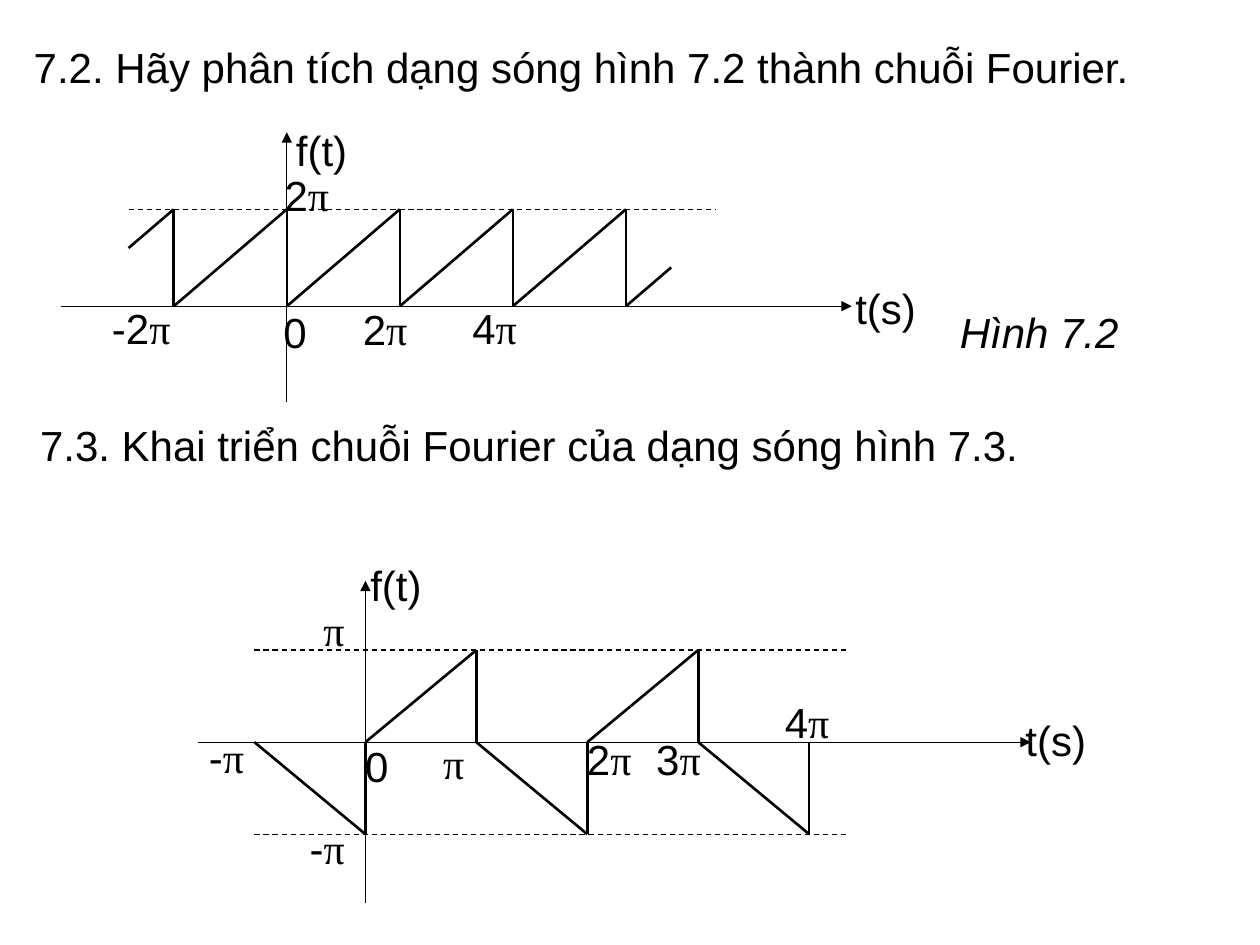
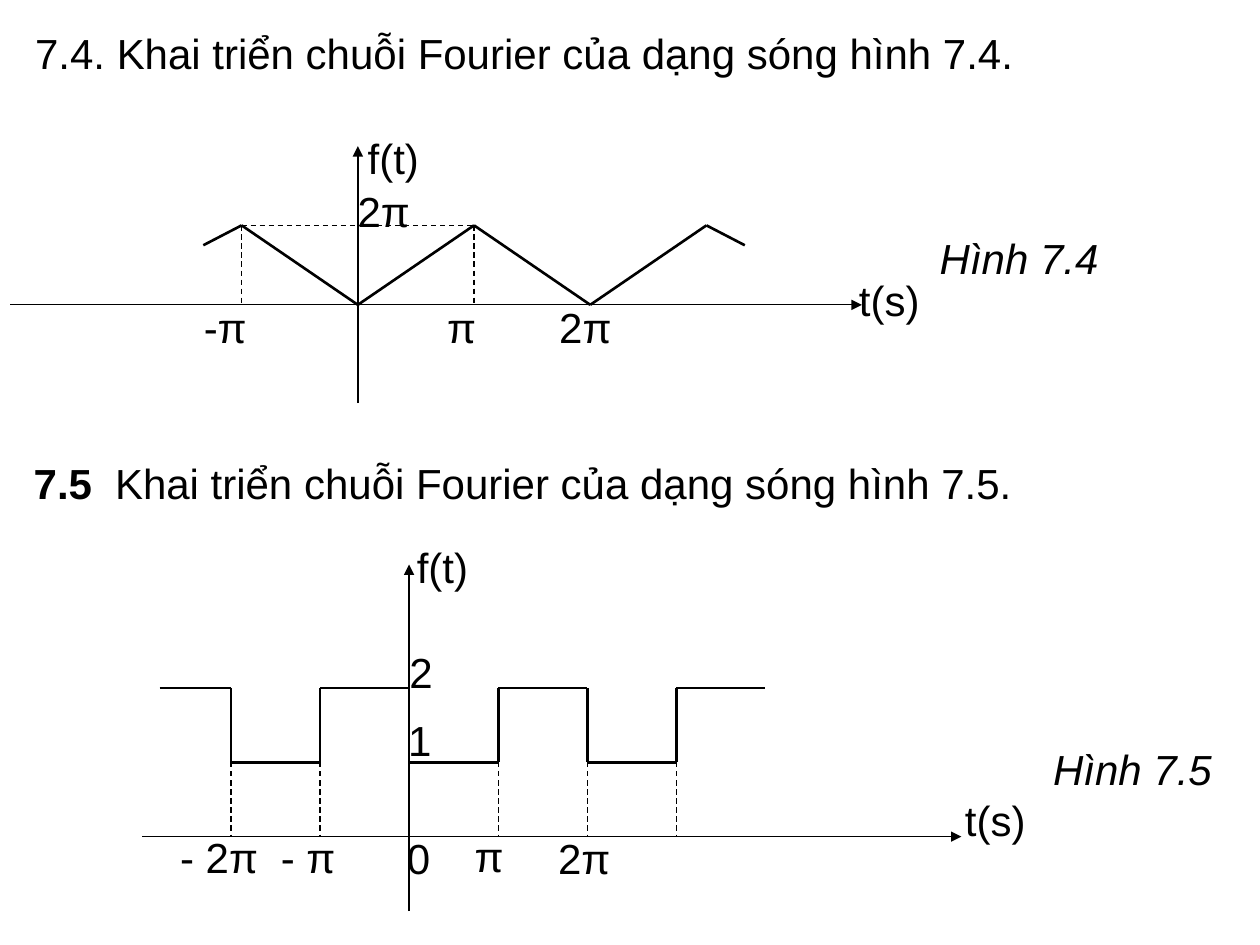
import pptx
import pptx.dml.color
import pptx.enum.dml
import pptx.enum.shapes
import pptx.enum.text
import pptx.oxml.ns
import pptx.util
import lxml.etree

COLORS = {"ink": "000000"}
TEXT_FONT = "Arial"
SYMBOL_FONT = "Times New Roman"
TEXT_SIZE = 24
AXIS_WIDTH = 0.75
WAVE_WIDTH = 1.5
ink = pptx.dml.color.RGBColor.from_string(COLORS["ink"])


def add_line(slide, start, end, width, dashed=False, arrow=False):
    line = slide.shapes.add_connector(
        pptx.enum.shapes.MSO_CONNECTOR.STRAIGHT,
        *[pptx.util.Pt(round(value, 2)) for value in (*start, *end)])
    line.line.color.rgb = ink
    line.line.width = pptx.util.Pt(width)
    if dashed:
        line.line.dash_style = pptx.enum.dml.MSO_LINE.DASH
    if arrow:
        tail = lxml.etree.SubElement(line.line._get_or_add_ln(), pptx.oxml.ns.qn("a:tailEnd"))
        tail.set("type", "triangle")
    lxml.etree.SubElement(line._element.spPr, pptx.oxml.ns.qn("a:effectLst"))


def add_text(slide, text, box, pi_font=TEXT_FONT, italic=False, wrap=True, tab=None):
    shape = slide.shapes.add_textbox(*[pptx.util.Pt(value) for value in box])
    shape.text_frame.word_wrap = wrap
    paragraph = shape.text_frame.paragraphs[0]
    paragraph.alignment = pptx.enum.text.PP_ALIGN.JUSTIFY
    if tab:
        tabs = lxml.etree.SubElement(paragraph._p.get_or_add_pPr(), pptx.oxml.ns.qn("a:tabLst"))
        stop = lxml.etree.SubElement(tabs, pptx.oxml.ns.qn("a:tab"))
        stop.set("pos", str(pptx.util.Pt(tab)))
        stop.set("algn", "l")
    paragraph.font.size = pptx.util.Pt(TEXT_SIZE)
    paragraph.font.color.rgb = ink
    paragraph.font.italic = italic
    number, symbol, rest = text.partition("π")
    if pi_font == TEXT_FONT or not symbol:
        pieces = [(text, TEXT_FONT)]
    else:
        pieces = [(number, TEXT_FONT), (symbol, pi_font)]
    pieces = [piece for piece in pieces if piece[0]]
    for content, font in pieces:
        run = paragraph.add_run()
        run.text = content
        if len(pieces) > 1:
            run.font.name = font
    if len(pieces) == 1:
        paragraph.font.name = pieces[0][1]
    return paragraph


square_wave = [(-2.8, 2)]
for step in range(-2, 4):
    levels = (2, 1) if step % 2 == 0 else (1, 2)
    square_wave += [(step, level) for level in levels]
square_wave.append((4, 2))

figures = [
    {
        "slide": 0, "origin": (163.9, 175), "unit": (64.6, 55.4),
        "t_axis": (34.6, 486.7), "f_axis": (229.7, 75.6),
        "wave": [(-1.4, 0.6), (-1, 1), (-1, 0), (0, 1), (0, 0), (1, 1), (1, 0),
                 (2, 1), (2, 0), (3, 1), (3, 0), (3.4, 0.4)],
        "guides": [((-1.4, 1), (3.8, 1))],
        "pi_font": SYMBOL_FONT, "label_height": 33.1,
        "labels": [("0", 154.8, 171.4, 51.8), ("-2π", 56.9, 169.2, 85.7),
                   ("2π", 200.2, 169.9, 87.8), ("4π", 262.8, 169.2, 77.8),
                   ("t(s)", 481.7, 157.7, 64.8), ("2π", 155.5, 93.6, 77.8),
                   ("f(t)", 162, 67.7, 77.8)],
    },
    {
        "slide": 0, "origin": (208.8, 424.1), "unit": (63.4, 52.6),
        "t_axis": (113, 589), "f_axis": (516.2, 331.9),
        "wave": [(-1, 0), (0, -1), (0, 0), (1, 1), (1, 0), (2, -1), (2, 0),
                 (3, 1), (3, 0), (4, -1), (4, 0)],
        "guides": [((-1, level), (4.34, level)) for level in (1, -1)],
        "pi_font": SYMBOL_FONT, "label_height": 39.6,
        "labels": [("0", 201.6, 419.8, 57.6), ("π", 246.2, 417.6, 57.6),
                   ("2π", 328.3, 415.4, 57.6), ("3π", 367.9, 415.4, 57.6),
                   ("4π", 441.4, 394.6, 57.6), ("-π", 112.3, 414.7, 57.6),
                   ("-π", 169.9, 466.6, 57.6), ("π", 177.8, 342, 57.6),
                   ("t(s)", 578.9, 404.6, 57.6), ("f(t)", 204.5, 316.1, 68.4)],
    },
    {
        "slide": 1, "origin": (204.5, 174.2), "unit": (66.4, 45.4),
        "t_axis": (5.8, 492.5), "f_axis": (230.4, 83.5),
        "wave": [(-1.33, 0.75), (-1, 1), (0, 0), (1, 1), (2, 0), (3, 1), (3.33, 0.75)],
        "guides": [((-1, 1), (-1, 0)), ((-1, 1), (1, 1)), ((1, 1), (1, 0))],
        "pi_font": TEXT_FONT, "label_height": 35.3,
        "labels": [("-π", 109.4, 168.5, 52.6), ("π", 248.4, 168.5, 52.6),
                   ("2π", 312.5, 168.5, 52.6), ("2π", 197.3, 102.2, 52.6),
                   ("t(s)", 483.8, 153.4, 52.6), ("f(t)", 203, 72, 82.8)],
    },
    {
        "slide": 1, "origin": (233.8, 478.1), "unit": (50.9, 42.5),
        "t_axis": (81.4, 549.4), "f_axis": (520.6, 322.6),
        "wave": square_wave,
        "guides": [((step, 1), (step, 0)) for step in (-2, -1, 1, 2, 3)],
        "pi_font": TEXT_FONT, "label_height": 42.5,
        "labels": [("0", 225.4, 472.3, 43.9), ("π", 264.2, 470.9, 43.9),
                   ("2π", 311.8, 472.3, 66.2), ("- π", 153.4, 471.6, 55.4),
                   ("- 2π", 95.8, 471.6, 66.2), ("1", 226.1, 404.6, 43.9),
                   ("2", 226.8, 365.8, 43.9), ("t(s)", 544.3, 450.7, 66.2),
                   ("f(t)", 231.1, 306, 66.2)],
    },
]

headings = [
    (0, "7.2. Hãy phân tích dạng sóng hình 7.2 thành chuỗi Fourier.", (12.2, 20.2, 653, 36)),
    (0, "7.3. Khai triển chuỗi Fourier của dạng sóng hình 7.3.", (15.8, 236.2, 655.9, 36)),
    (1, "7.4. Khai triển chuỗi Fourier của dạng sóng hình 7.4.", (13, 12.2, 604.8, 36)),
]
captions = [
    (0, "Hình 7.2", (541.4, 171.4, 105.8, 36)),
    (1, "Hình 7.4", (529.9, 129.6, 105.8, 36)),
    (1, "Hình 7.5", (594.7, 421.2, 105.8, 36)),
]

presentation = pptx.Presentation()
presentation.slide_width = pptx.util.Pt(720)
presentation.slide_height = pptx.util.Pt(540)
slides = [presentation.slides.add_slide(presentation.slide_layouts[6]) for _ in range(2)]

for figure in figures:
    slide = slides[figure["slide"]]
    origin_x, origin_y = figure["origin"]
    unit_x, unit_y = figure["unit"]
    bottom, top = figure["f_axis"]
    left, right = figure["t_axis"]
    add_line(slide, (origin_x, bottom), (origin_x, top), AXIS_WIDTH, arrow=True)
    add_line(slide, (left, origin_y), (right, origin_y), AXIS_WIDTH, arrow=True)
    wave = figure["wave"]
    segments = [(pair, AXIS_WIDTH, True) for pair in figure["guides"]]
    segments += [(pair, WAVE_WIDTH, False) for pair in zip(wave, wave[1:])]
    for pair, width, dashed in segments:
        start, end = [(origin_x + t * unit_x, origin_y - f * unit_y) for t, f in pair]
        add_line(slide, start, end, width, dashed)
    for text, label_left, label_top, label_width in figure["labels"]:
        box = (label_left, label_top, label_width, figure["label_height"])
        add_text(slide, text, box, figure["pi_font"])

for index, text, box in headings:
    add_text(slides[index], text, box)
for index, text, box in captions:
    add_text(slides[index], text, box, italic=True, wrap=False)

heading = add_text(slides[1], "7.5", (12.2, 257.8, 624.2, 36), tab=46.5)
heading.runs[0].font.bold = True
heading.add_run().text = "\tKhai triển chuỗi Fourier của dạng sóng hình 7.5."

presentation.save("out.pptx")
